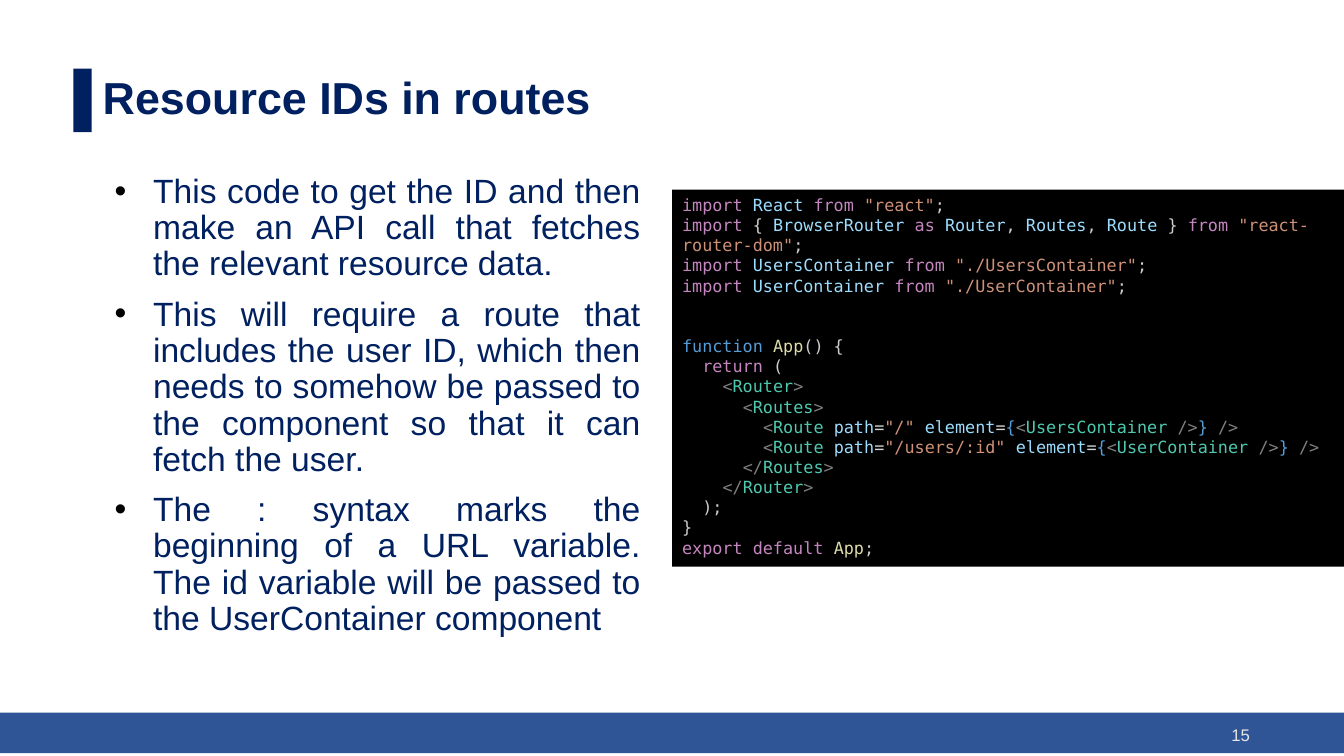
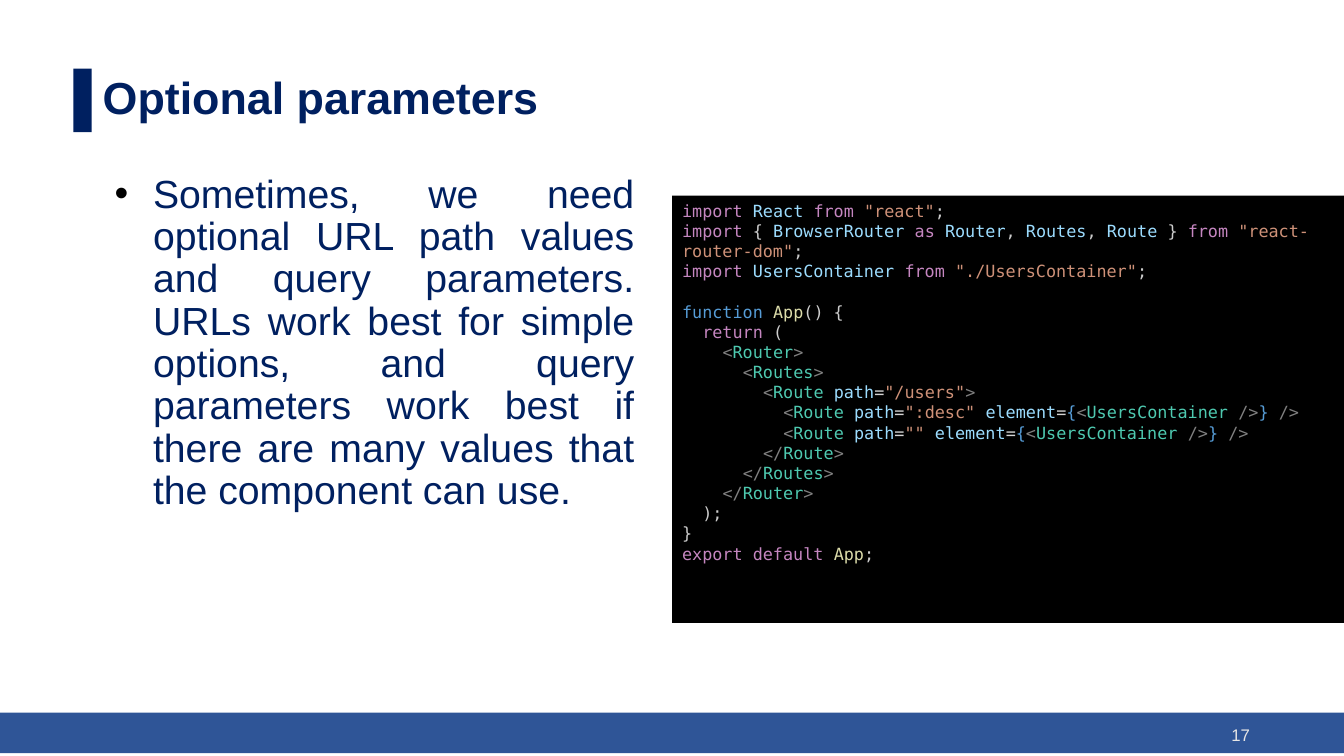
from itertools import groupby

from lxml.etree import SubElement
from pptx import Presentation
from pptx.dml.color import RGBColor
from pptx.enum.shapes import MSO_SHAPE
from pptx.enum.text import MSO_ANCHOR, PP_ALIGN
from pptx.oxml.ns import qn
from pptx.util import Cm, Pt

NAVY, BLUE, WHITE, BLACK, PALE = "002060", "2F5597", "FFFFFF", "000000", "E7E6E6"
TEXT_FONT, CODE_FONT = "Arial", "DejaVu Sans Mono"

SLIDE_WIDTH, SLIDE_HEIGHT = 33.87, 19.05
CONTENT_LEFT = 2.34
CODE_LEFT = 16.94
CODE_INDENT = 0.255  # one character, in cm
CODE_LINE = 14.4  # one line, in points

KEYWORD, NAME, STRING, PLAIN = "C586C0", "9CDCFE", "CE9178", "CCCCCC"
TAG, ACCENT, ANGLE, EQUALS = "4EC9B0", "569CD6", "808080", "D4D4D4"
WORD_COLORS = dict.fromkeys(
    ["import", "from", "as", "return", "export", "default"], KEYWORD
) | {"function": ACCENT, "App": "DCDCAA"}
SYMBOL_COLORS = dict.fromkeys("</>", ANGLE) | {"=": EQUALS}

IMPORTS = [
    'import React from "react";',
    'import { BrowserRouter as Router, Routes, Route } from "react-router-dom";',
    'import UsersContainer from "./UsersContainer";',
]
APP_START = ["function App() {", "  return (", "    <Router>", "      <Routes>"]
APP_END = ["      </Routes>", "    </Router>", "  );", "}", "export default App;"]

SLIDES = [
    {
        "title": "Resource IDs in routes",
        "number": "15",
        "bullets": [
            "This code to get the ID and then make an API call that fetches the "
            "relevant resource data.",
            "This will require a route that includes the user ID, which then needs "
            "to somehow be passed to the component so that it can fetch the user.",
            "The : syntax marks the beginning of a URL variable. The id variable "
            "will be passed to the UserContainer component",
        ],
        "bullet_size": 24,
        "bullet_box": (14.05, 13.74),
        "imports": IMPORTS + ['import UserContainer from "./UserContainer";'],
        "gap_lines": 2,
        "routes": [
            '        <Route path="/" element={<UsersContainer />} />',
            '        <Route path="/users/:id" element={<UserContainer />} />',
        ],
        "code_top": 4.78,
        "code_height": 9.5,
    },
    {
        "title": "Optional parameters",
        "number": "17",
        "bullets": [
            "Sometimes, we need optional URL path values and query parameters. URLs "
            "work best for simple options, and query parameters work best if there "
            "are many values that the component can use.",
        ],
        "bullet_size": 28,
        "bullet_box": (13.89, 12.09),
        "imports": IMPORTS,
        "gap_lines": 1,
        "routes": [
            '        <Route path="/users">',
            '          <Route path=":desc" element={<UsersContainer />} />',
            '          <Route path="" element={<UsersContainer />} />',
            "        </Route>",
        ],
        "code_top": 4.93,
        "code_height": 10.77,
    },
]


def rgb(color):
    return RGBColor.from_string(color)


def add_rectangle(slide, left, top, width, height, color):
    shape = slide.shapes.add_shape(
        MSO_SHAPE.RECTANGLE, Cm(left), Cm(top), Cm(width), Cm(height)
    )
    shape.shadow.inherit = False
    shape.fill.solid()
    shape.fill.fore_color.rgb = rgb(color)
    shape.line.fill.background()
    return shape


def prepare_frame(shape, anchor):
    frame = shape.text_frame
    frame.word_wrap = True
    frame.vertical_anchor = anchor
    return frame


def add_text_frame(slide, left, top, width, height, anchor=MSO_ANCHOR.MIDDLE):
    box = slide.shapes.add_textbox(Cm(left), Cm(top), Cm(width), Cm(height))
    return prepare_frame(box, anchor)


def add_paragraph(frame, index, alignment=PP_ALIGN.LEFT):
    paragraph = frame.add_paragraph() if index else frame.paragraphs[0]
    paragraph.alignment = alignment
    return paragraph


def set_font(paragraph, name, size, color, bold=False):
    font = paragraph.font
    font.name, font.size, font.bold = name, Pt(size), bold
    font.color.rgb = rgb(color)


def set_indent(paragraph, left, first_line=0):
    properties = paragraph._p.get_or_add_pPr()
    properties.set("marL", str(Cm(left)))
    properties.set("indent", str(Cm(first_line)))
    return properties


def set_bullet(paragraph):
    properties = set_indent(paragraph, 1.27, -0.97)
    color = SubElement(properties, qn("a:buClr"))
    SubElement(color, qn("a:srgbClr"), val=BLACK)
    SubElement(properties, qn("a:buFont"), typeface=TEXT_FONT)
    SubElement(properties, qn("a:buChar"), char="•")


def color_tokens(line):
    """Yield (text, color) for each word, symbol and string of a code line."""
    symbols = SYMBOL_COLORS | (
        dict.fromkeys("{}", ACCENT) if line.startswith("<") else {}
    )
    previous, color = "", PLAIN
    for position, part in enumerate(line.split('"')):
        if position % 2:
            color = STRING
            yield f'"{part}"', color
            continue
        for is_word, characters in groupby(part, str.isalnum):
            if is_word:
                word = "".join(characters)
                is_tag = previous in ("<", "/")
                color = TAG if is_tag else WORD_COLORS.get(word, NAME)
                previous = word
                yield word, color
                continue
            for symbol in characters:
                if symbol != " ":
                    color = symbols.get(symbol, PLAIN)
                previous = symbol
                yield symbol, color


def add_code(slide, content):
    panel = add_rectangle(
        slide, CODE_LEFT, content["code_top"], SLIDE_WIDTH - CODE_LEFT,
        content["code_height"], BLACK,
    )
    frame = prepare_frame(panel, MSO_ANCHOR.TOP)
    lines = content["imports"] + APP_START + content["routes"] + APP_END
    for index, line in enumerate(lines):
        paragraph = add_paragraph(frame, index)
        code = line.lstrip()
        set_indent(paragraph, CODE_INDENT * (len(line) - len(code)))
        if index == len(content["imports"]):
            paragraph.space_before = Pt(CODE_LINE * content["gap_lines"])
        set_font(paragraph, CODE_FONT, 12, PLAIN)
        for color, tokens in groupby(color_tokens(code), lambda token: token[1]):
            run = paragraph.add_run()
            run.text = "".join(text for text, _ in tokens)
            run.font.color.rgb = rgb(color)


def add_bullets(slide, content):
    width, height = content["bullet_box"]
    frame = add_text_frame(slide, CONTENT_LEFT, 4.27, width, height, MSO_ANCHOR.TOP)
    for index, text in enumerate(content["bullets"]):
        paragraph = add_paragraph(frame, index, PP_ALIGN.JUSTIFY)
        paragraph.text = text
        paragraph.line_spacing = 0.9
        paragraph.space_before = Pt(10)
        set_bullet(paragraph)
        set_font(paragraph, TEXT_FONT, content["bullet_size"], NAVY)


def add_frame(slide, title, number):
    """Add the footer band, title mark, title and slide number."""
    add_rectangle(slide, 0, 17.96, SLIDE_WIDTH, 1.02, BLUE)
    add_rectangle(slide, 1.85, 1.73, 0.46, 1.6, NAVY)
    title_box = add_rectangle(slide, CONTENT_LEFT, 1.73, 29.21, 1.6, WHITE)
    paragraph = add_paragraph(prepare_frame(title_box, MSO_ANCHOR.MIDDLE), 0)
    paragraph.text = title
    paragraph.line_spacing = 0.9
    set_font(paragraph, TEXT_FONT, 32, NAVY, bold=True)
    number_frame = add_text_frame(slide, 24.13, 18.01, 7.62, 1.02)
    paragraph = add_paragraph(number_frame, 0, PP_ALIGN.RIGHT)
    paragraph.text = number
    set_font(paragraph, TEXT_FONT, 12, PALE)


def main():
    presentation = Presentation()
    presentation.slide_width = Cm(SLIDE_WIDTH)
    presentation.slide_height = Cm(SLIDE_HEIGHT)
    for content in SLIDES:
        slide = presentation.slides.add_slide(presentation.slide_layouts[6])
        add_frame(slide, content["title"], content["number"])
        add_bullets(slide, content)
        add_code(slide, content)
    presentation.save("out.pptx")


if __name__ == "__main__":
    main()
